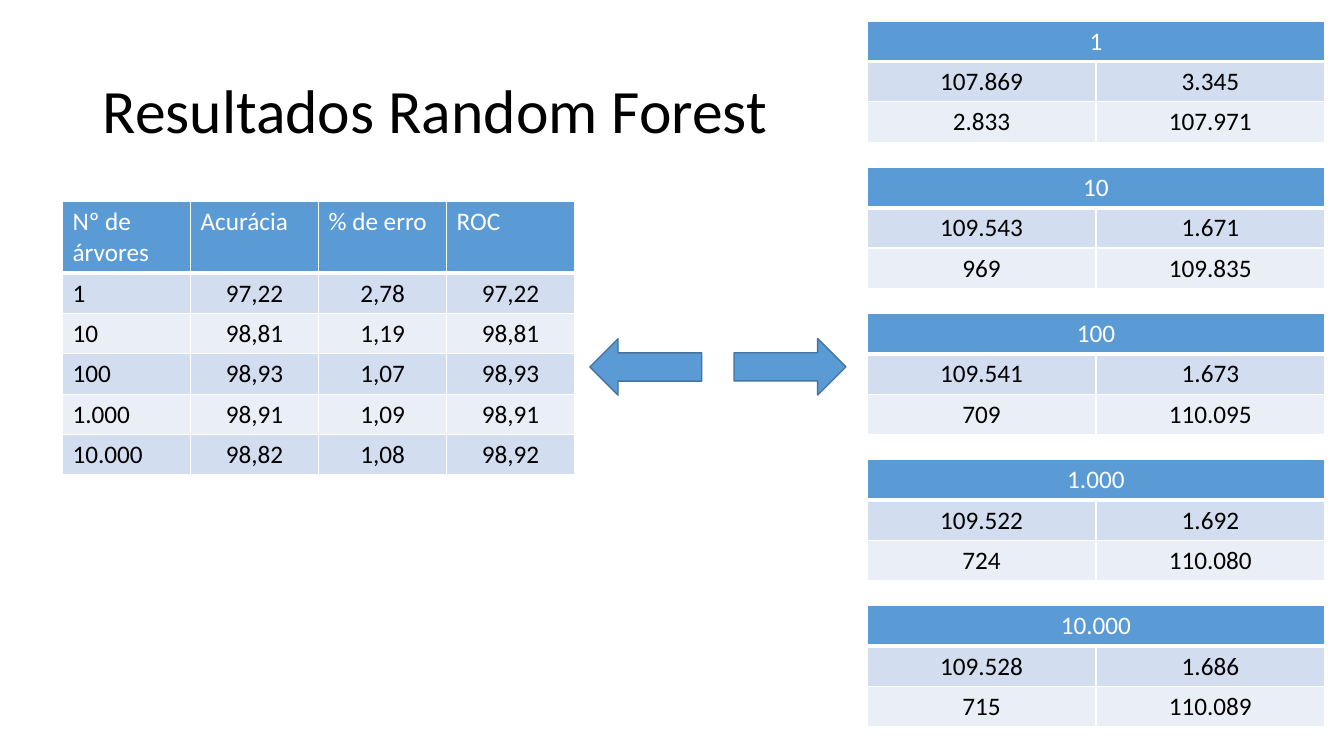
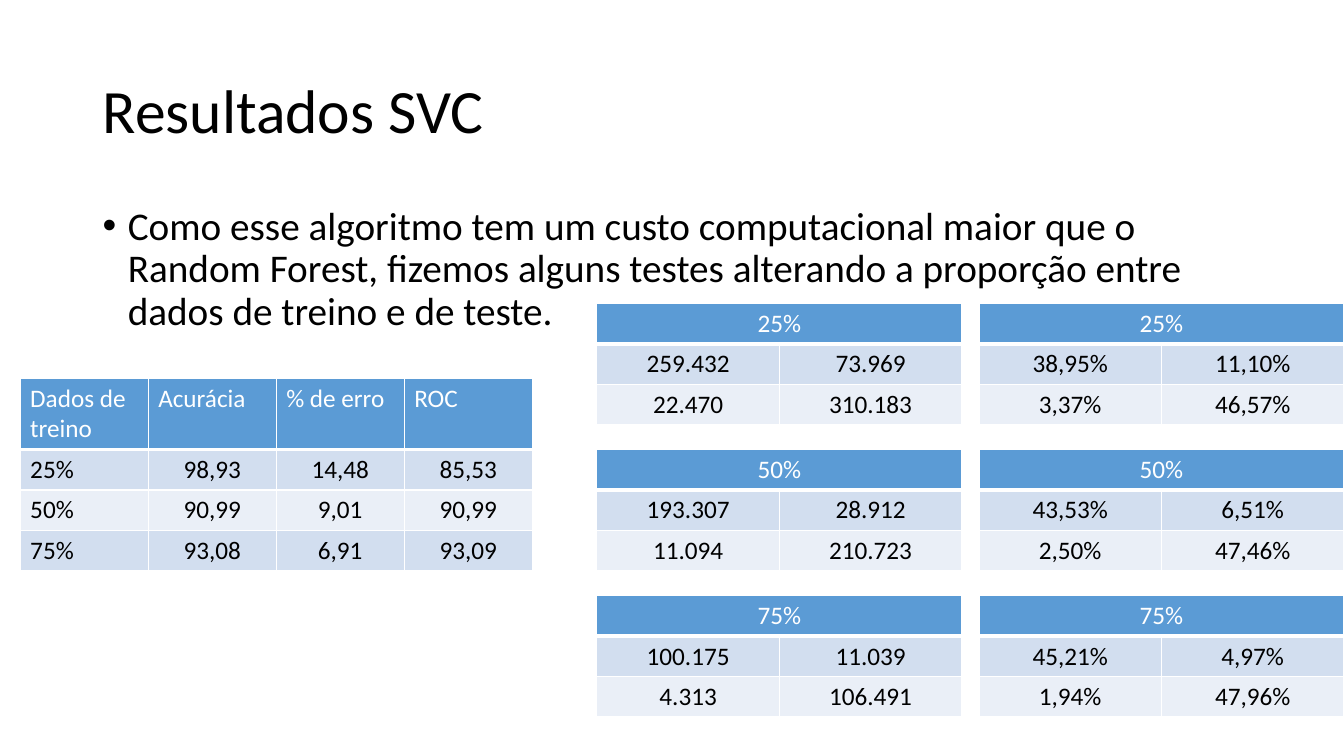
"""Builds two slides comparing Random Forest and SVC results."""
from dataclasses import dataclass

from lxml import etree
from pptx import Presentation
from pptx import util as u
from pptx.dml import color
from pptx.enum import shapes, text
from pptx.oxml import ns

FONT = "Calibri"
BLACK, WHITE = "000000", "FFFFFF"
BLUE, BLUE_EDGE = "5B9BD5", "43739E"
BANDS = ("D2DEEF", "EAEFF7")
METRIC_NAMES = ("Acurácia", "% de erro", "ROC")
METRIC_COLUMN = 1.27
HEADER_HEIGHT, ROW_HEIGHT = 0.71, 0.4
MATRIX_STEP = 1.45


@dataclass(frozen=True)
class Metrics:
    left: float
    top: float
    parameter: str
    rows: tuple[tuple[str, ...], ...]


@dataclass(frozen=True)
class Matrix:
    heading: str
    rows: tuple[tuple[str, str], tuple[str, str]]


@dataclass(frozen=True)
class MatrixColumn:
    left: float
    top: float
    width: float
    matrices: tuple[Matrix, ...]


@dataclass(frozen=True)
class Arrow:
    left: float
    rotation: int


FOREST_METRICS = Metrics(0.62, 2, "Nº de árvores", (
    ("1", "97,22", "2,78", "97,22"),
    ("10", "98,81", "1,19", "98,81"),
    ("100", "98,93", "1,07", "98,93"),
    ("1.000", "98,91", "1,09", "98,91"),
    ("10.000", "98,82", "1,08", "98,92"),
))
FOREST_MATRICES = MatrixColumn(8.6, 0.21, 4.54, (
    Matrix("1", (("107.869", "3.345"), ("2.833", "107.971"))),
    Matrix("10", (("109.543", "1.671"), ("969", "109.835"))),
    Matrix("100", (("109.541", "1.673"), ("709", "110.095"))),
    Matrix("1.000", (("109.522", "1.692"), ("724", "110.080"))),
    Matrix("10.000", (("109.528", "1.686"), ("715", "110.089"))),
))
FOREST_ARROWS = (Arrow(7.28, 0), Arrow(5.85, 180))

SVC_REMARK = (
    "Como esse algoritmo tem um custo computacional maior que o Random Forest, "
    "fizemos alguns testes alterando a proporção entre dados de treino e de teste."
)
SVC_METRICS = Metrics(0.2, 3.75, "Dados de treino", (
    ("25%", "98,93", "14,48", "85,53"),
    ("50%", "90,99", "9,01", "90,99"),
    ("75%", "93,08", "6,91", "93,09"),
))
SVC_MATRICES = (
    MatrixColumn(5.92, 3.01, 3.62, (
        Matrix("25%", (("259.432", "73.969"), ("22.470", "310.183"))),
        Matrix("50%", (("193.307", "28.912"), ("11.094", "210.723"))),
        Matrix("75%", (("100.175", "11.039"), ("4.313", "106.491"))),
    )),
    MatrixColumn(9.71, 3.01, 3.62, (
        Matrix("25%", (("38,95%", "11,10%"), ("3,37%", "46,57%"))),
        Matrix("50%", (("43,53%", "6,51%"), ("2,50%", "47,46%"))),
        Matrix("75%", (("45,21%", "4,97%"), ("1,94%", "47,96%"))),
    )),
)


def rgb(value: str) -> color.RGBColor:
    return color.RGBColor.from_string(value)


def style_text(paragraph, size: float, ink: str) -> None:
    for run in paragraph.runs:
        run.font.name = FONT
        run.font.size = u.Pt(size)
        run.font.bold = False
        run.font.color.rgb = rgb(ink)


def add_text(slide, wording: str, top: float, height: float, size: float, anchor):
    frame = slide.shapes.add_textbox(
        u.Inches(0.92), u.Inches(top), u.Inches(11.5), u.Inches(height)
    ).text_frame
    frame.word_wrap = True
    frame.vertical_anchor = anchor
    frame.text = wording
    paragraph = frame.paragraphs[0]
    paragraph.line_spacing = 0.9
    style_text(paragraph, size, BLACK)
    return paragraph


def add_titled_slide(deck, title: str):
    slide = deck.slides.add_slide(deck.slide_layouts[6])
    add_text(slide, title, 0.4, 1.45, 44, text.MSO_ANCHOR.MIDDLE)
    return slide


def add_remark(slide, wording: str) -> None:
    paragraph = add_text(slide, wording, 2, 4.76, 28, text.MSO_ANCHOR.TOP)
    paragraph.space_before = u.Pt(10)
    properties = paragraph._p.get_or_add_pPr()
    properties.set("marL", str(u.Inches(0.25)))
    properties.set("indent", str(u.Inches(-0.25)))
    etree.SubElement(properties, ns.qn("a:buFont"), typeface="Arial")
    etree.SubElement(properties, ns.qn("a:buChar"), char="•")


def set_borders(cell, is_header: bool) -> None:
    properties = cell._tc.get_or_add_tcPr()
    for side in ("L", "R", "T", "B"):
        width = u.Pt(3 if is_header and side == "B" else 1)
        edge = etree.SubElement(properties, ns.qn(f"a:ln{side}"), w=str(width))
        fill = etree.SubElement(edge, ns.qn("a:solidFill"))
        etree.SubElement(fill, ns.qn("a:srgbClr"), val=WHITE)


def add_grid(slide, left: float, top: float, column: float, header: float,
             rows: tuple[tuple[str, ...], ...]):
    height = header + ROW_HEIGHT * (len(rows) - 1)
    grid = slide.shapes.add_table(
        len(rows), len(rows[0]), u.Inches(left), u.Inches(top),
        u.Inches(column * len(rows[0])), u.Inches(height)
    ).table
    for grid_column in grid.columns:
        grid_column.width = u.Inches(column)
    for r, values in enumerate(rows):
        grid.rows[r].height = u.Inches(header if r == 0 else ROW_HEIGHT)
        for c, value in enumerate(values):
            cell = grid.cell(r, c)
            set_borders(cell, r == 0)
            cell.fill.solid()
            cell.fill.fore_color.rgb = rgb(BANDS[(r - 1) % 2] if r else BLUE)
            cell.text_frame.text = value
            paragraph = cell.text_frame.paragraphs[0]
            if r and c:
                paragraph.alignment = text.PP_ALIGN.CENTER
            style_text(paragraph, 18, BLACK if r else WHITE)
    return grid


def add_metrics(slide, metrics: Metrics) -> None:
    header = (metrics.parameter, *METRIC_NAMES)
    add_grid(slide, metrics.left, metrics.top, METRIC_COLUMN, HEADER_HEIGHT,
             (header, *metrics.rows))


def add_matrices(slide, column: MatrixColumn) -> None:
    for index, matrix in enumerate(column.matrices):
        grid = add_grid(slide, column.left, column.top + index * MATRIX_STEP,
                        column.width / 2, ROW_HEIGHT,
                        ((matrix.heading, ""), *matrix.rows))
        grid.cell(0, 0).merge(grid.cell(0, 1))
        for row in range(3):
            grid.cell(row, 0).text_frame.paragraphs[0].alignment = text.PP_ALIGN.CENTER


def add_arrow(slide, arrow: Arrow) -> None:
    pointer = slide.shapes.add_shape(
        shapes.MSO_SHAPE.RIGHT_ARROW, u.Inches(arrow.left), u.Inches(3.36),
        u.Inches(1.11), u.Inches(0.56)
    )
    pointer.rotation = arrow.rotation
    pointer.shadow.inherit = False
    pointer.fill.solid()
    pointer.fill.fore_color.rgb = rgb(BLUE)
    pointer.line.color.rgb = rgb(BLUE_EDGE)
    pointer.line.width = u.Pt(1)


def main() -> None:
    deck = Presentation()
    deck.slide_width, deck.slide_height = u.Inches(13.33), u.Inches(7.5)

    forest = add_titled_slide(deck, "Resultados Random Forest")
    add_metrics(forest, FOREST_METRICS)
    add_matrices(forest, FOREST_MATRICES)
    for arrow in FOREST_ARROWS:
        add_arrow(forest, arrow)

    svc = add_titled_slide(deck, "Resultados SVC")
    add_remark(svc, SVC_REMARK)
    add_metrics(svc, SVC_METRICS)
    for column in SVC_MATRICES:
        add_matrices(svc, column)

    deck.save("out.pptx")


if __name__ == "__main__":
    main()
